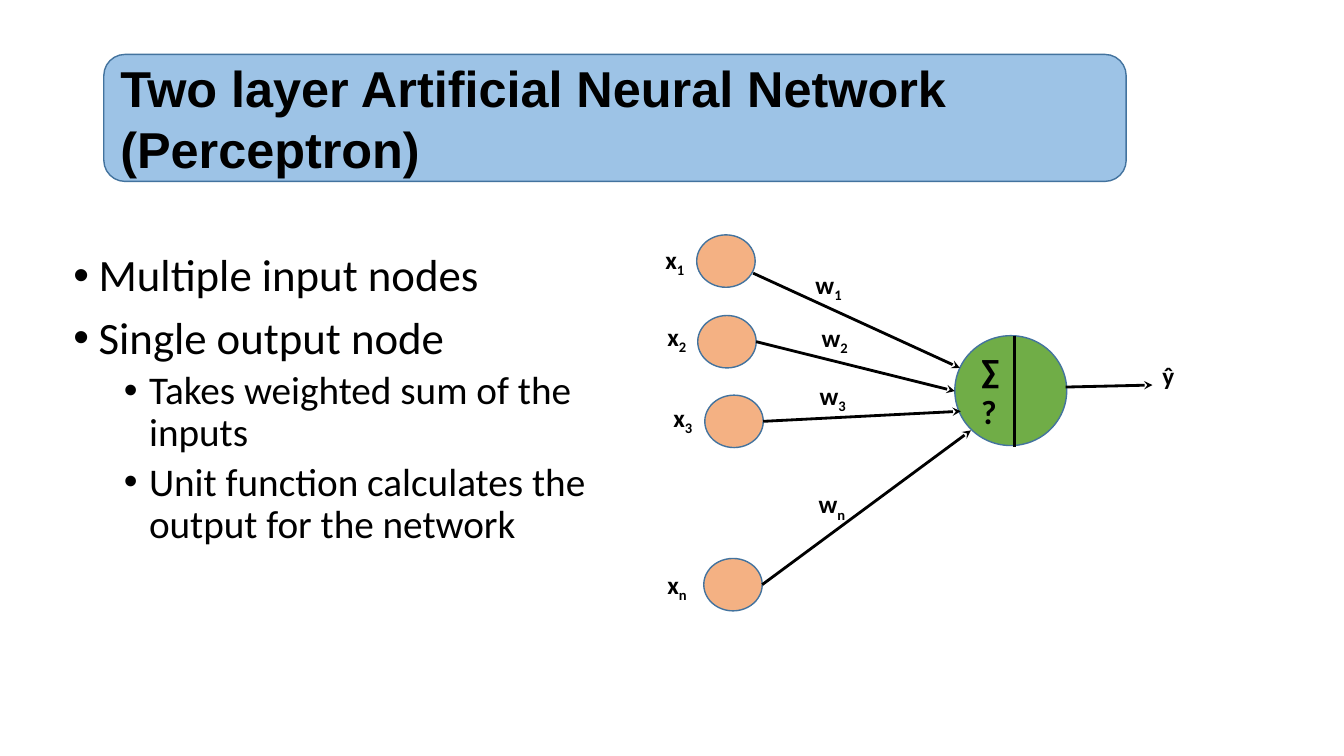
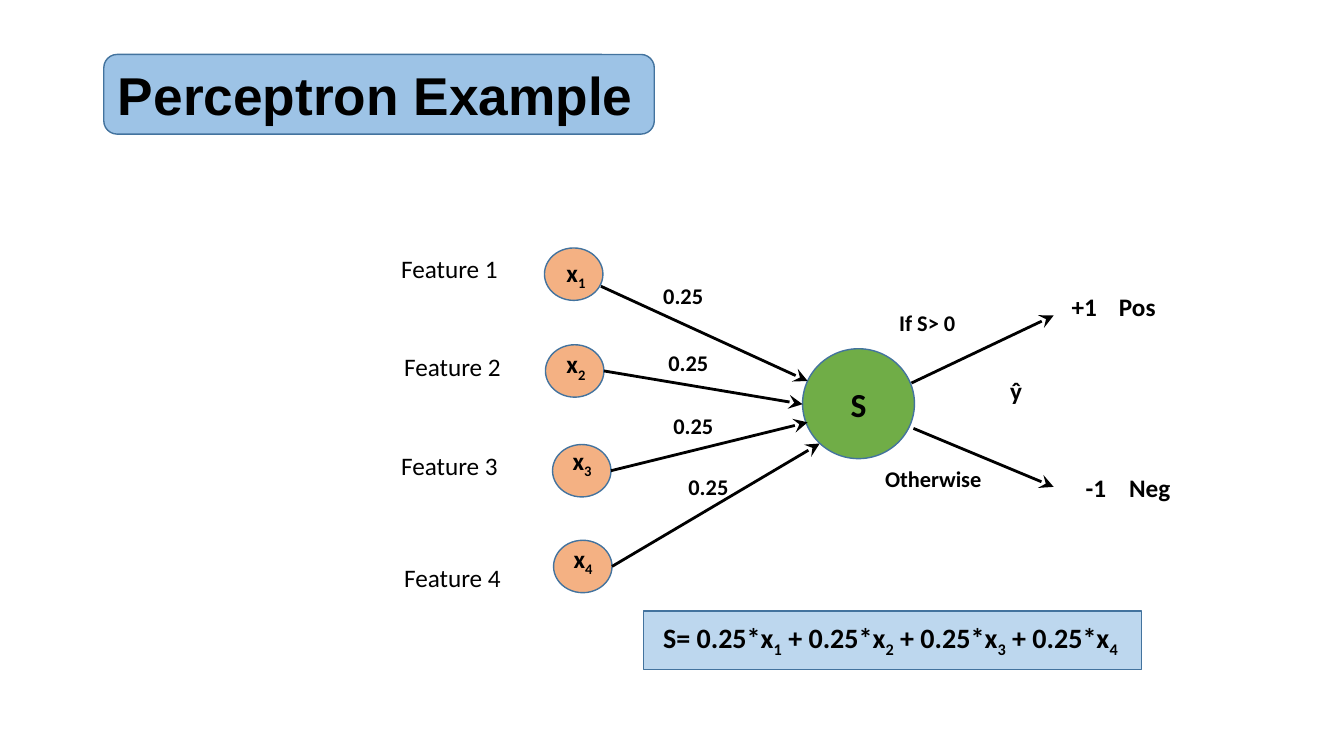
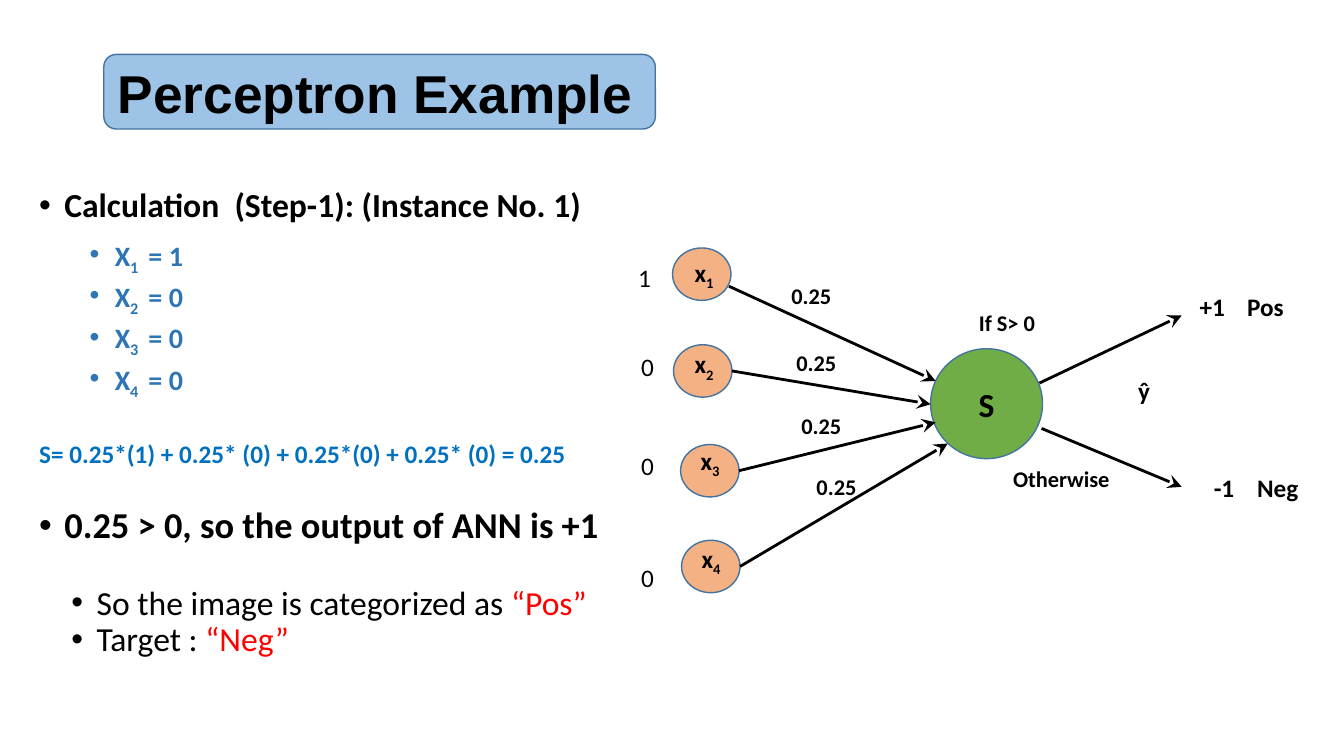
from dataclasses import dataclass

from lxml import etree
from pptx import Presentation
from pptx.dml.color import RGBColor
from pptx.enum.shapes import MSO_CONNECTOR, MSO_SHAPE
from pptx.enum.text import MSO_ANCHOR, MSO_AUTO_SIZE, PP_ALIGN
from pptx.oxml.ns import qn
from pptx.util import Inches, Pt

ELLIPSE, RECTANGLE, ROUNDED = MSO_SHAPE.OVAL, MSO_SHAPE.RECTANGLE, MSO_SHAPE.ROUNDED_RECTANGLE
STRAIGHT = MSO_CONNECTOR.STRAIGHT
MIDDLE, TOP = MSO_ANCHOR.MIDDLE, MSO_ANCHOR.TOP
LEFT, CENTER = PP_ALIGN.LEFT, PP_ALIGN.CENTER
NO_FIT = MSO_AUTO_SIZE.NONE

# Shared look
BLACK, RED = "000000", "FF0000"
BAND, FORMULA, OUTLINE = "9DC3E6", "BDD7EE", "43739E"
INPUT_FILL, OUTPUT_FILL = "F4B183", "70AD47"
VALUE_BLUE, SUM_BLUE = "2E75B6", "0070C0"
BODY_FONT, TITLE_FONT = "Calibri", "Arial"
BAND_LEFT, BAND_TOP = 1.03, 0.54
INPUT_SIZE = (0.58, 0.52)
OUTPUT_SIZE = (1.11, 1.09)
EXAMPLE_SHIFT = 1.27


@dataclass
class Span:
    text: str
    color: str = ""
    lowered: bool = False


@dataclass
class Para:
    spans: list[Span]
    size: float = 18
    bold: bool = True
    color: str = BLACK
    font: str = BODY_FONT
    align: PP_ALIGN = LEFT
    level: int = 0
    before: float = 0
    spacing: float = 1.0
    bullet: bool = False
    indent: float = 0
    tab: float = 0


@dataclass
class Label:
    left: float
    top: float
    width: float
    para: Para


@dataclass
class Arrow:
    x1: float
    y1: float
    x2: float
    y2: float


def rgb(color: str) -> RGBColor:
    return RGBColor.from_string(color)


def plain(text: str, **formats) -> Para:
    return Para([Span(text)], **formats)


def indexed(name: str, index: str) -> list[Span]:
    return [Span(name), Span(index, lowered=True)]


def add_bullet_and_tab(paragraph, para: Para) -> None:
    properties = paragraph._p.get_or_add_pPr()
    if para.bullet:
        properties.set("marL", str(Inches(para.indent)))
        properties.set("indent", str(Inches(-0.25)))
        etree.SubElement(properties, qn("a:buFont"), typeface="Arial")
        etree.SubElement(properties, qn("a:buChar"), char="•")
    if para.tab:
        stops = etree.SubElement(properties, qn("a:tabLst"))
        etree.SubElement(stops, qn("a:tab"), pos=str(Inches(para.tab)), algn="l")


def write(frame, paras: list[Para], anchor: MSO_ANCHOR = TOP) -> None:
    frame_formats = {"word_wrap": True, "auto_size": NO_FIT, "vertical_anchor": anchor}
    for name, value in frame_formats.items():
        setattr(frame, name, value)
    for number, para in enumerate(paras):
        paragraph = frame.add_paragraph() if number else frame.paragraphs[0]
        add_bullet_and_tab(paragraph, para)
        formats = {"alignment": para.align, "level": para.level,
                   "line_spacing": para.spacing, "space_before": Pt(para.before)}
        for name, value in formats.items():
            setattr(paragraph, name, value)
        for span in para.spans:
            run = paragraph.add_run()
            run.text = span.text
            for name, value in {"name": para.font, "size": Pt(para.size), "bold": para.bold}.items():
                setattr(run.font, name, value)
            run.font.color.rgb = rgb(span.color or para.color)
            if span.lowered:
                run._r.get_or_add_rPr().set("baseline", "-25000")


def add_box(page, left: float, top: float, width: float, height: float, paras: list[Para]) -> None:
    box = page.shapes.add_textbox(Inches(left), Inches(top), Inches(width), Inches(height))
    write(box.text_frame, paras)


def add_label(page, label: Label, shift: float = 0) -> None:
    add_box(page, label.left + shift, label.top, label.width, 0.4, [label.para])


def add_figure(page, kind, left: float, top: float, size: tuple[float, float], fill: str,
               para: Para | None = None):
    figure = page.shapes.add_shape(kind, Inches(left), Inches(top), *map(Inches, size))
    figure.shadow.inherit = False
    figure.fill.solid()
    figure.fill.fore_color.rgb = rgb(fill)
    figure.line.color.rgb = rgb(OUTLINE)
    figure.line.width = Pt(1)
    if para:
        write(figure.text_frame, [para], MIDDLE)
    return figure


def add_line(page, arrow: Arrow, shift: float = 0, width: float = 2, head: str = "") -> None:
    line = page.shapes.add_connector(
        STRAIGHT, Inches(arrow.x1 + shift), Inches(arrow.y1),
        Inches(arrow.x2 + shift), Inches(arrow.y2))
    line.line.color.rgb = rgb(BLACK)
    line.line.width = Pt(width)
    if head:
        etree.SubElement(line.line._get_or_add_ln(), qn("a:tailEnd"),
                         type="stealth", w=head, len=head)
    etree.SubElement(line._element.spPr, qn("a:effectLst"))


def start_page(deck, title: str, size: float, width: float, height: float):
    """Add a page whose title lies on a rounded band."""
    page = deck.slides.add_slide(deck.slide_layouts[5])
    band = add_figure(page, ROUNDED, BAND_LEFT, BAND_TOP, (width, height), BAND)
    page.shapes._spTree.insert(2, band._element)
    inset = 0.05 * height  # room taken by the rounded corners
    places = {"left": BAND_LEFT + inset, "top": BAND_TOP,
              "width": width - 2 * inset, "height": height}
    for name, value in places.items():
        setattr(page.shapes.title, name, Inches(value))
    write(page.shapes.title.text_frame, [plain(title, size=size, font=TITLE_FONT)], MIDDLE)
    return page


def build_two_layer(deck) -> None:
    page = start_page(deck, "Two layer Artificial Neural Network (Perceptron)", 36, 10.14, 1.26)
    main = {"size": 32, "bold": False, "spacing": 0.9, "bullet": True, "indent": 0.25}
    detail = main | {"size": 28, "indent": 0.75, "level": 1, "before": 5}
    add_box(page, 0.63, 2.46, 5.72, 4.39, [
        plain("Multiple input nodes", **main),
        plain("Single output node", before=10, **main),
        plain("Takes weighted sum of the inputs", **detail),
        plain("Unit function calculates the output for the network", **detail),
    ])

    # Input nodes, output node and arrows
    for left, top in [(6.91, 2.33), (6.92, 3.13), (6.99, 3.92), (6.98, 5.54)]:
        add_figure(page, ELLIPSE, left, top, INPUT_SIZE, INPUT_FILL)
    add_figure(page, ELLIPSE, 9.47, 3.33, OUTPUT_SIZE, OUTPUT_FILL,
               plain("∑\t?", size=24, tab=0.44))
    add_line(page, Arrow(10.06, 3.33, 10.06, 4.43), width=2.25)
    for arrow in [Arrow(7.47, 2.71, 9.52, 3.65), Arrow(7.5, 3.39, 9.47, 3.88),
                  Arrow(7.57, 4.18, 9.53, 4.08), Arrow(7.56, 5.8, 9.63, 4.27),
                  Arrow(10.57, 3.84, 11.43, 3.82)]:
        add_line(page, arrow, head="med")

    # Names of inputs, weights and output
    names = {
        "x": [(6.5, 2.37), (6.52, 3.14), (6.58, 3.94), (6.52, 5.6)],
        "w": [(7.99, 2.62), (8.05, 3.15), (8.03, 3.72), (8.02, 4.8)],
    }
    for name, places in names.items():
        for index, (left, top) in zip("123n", places):
            add_label(page, Label(left, top, 0.54, Para(indexed(name, index))))
    add_label(page, Label(11.43, 3.53, 0.52, plain("ŷ")))


def draw_example(page, shift: float, condition_left: float, inputs: list[Label]) -> None:
    """Draw the four-input perceptron, moved right by shift."""
    nodes = [(5.4, 2.46), (5.41, 3.42), (5.48, 4.41), (5.49, 5.36)]
    names = [(5.52, 2.5), (5.52, 3.41), (5.58, 4.37), (5.59, 5.34)]
    weights = [(6.48, 2.75), (6.53, 3.41), (6.58, 4.04), (6.73, 4.64)]
    for left, top in nodes:
        add_figure(page, ELLIPSE, left + shift, top, INPUT_SIZE, INPUT_FILL)
    for index, (left, top) in zip("1234", names):
        add_label(page, Label(left, top, 0.52, Para(indexed("x", index))), shift)
    add_figure(page, ELLIPSE, 7.96 + shift, 3.46, OUTPUT_SIZE, OUTPUT_FILL,
               plain("S", size=24, align=CENTER))
    for arrow in [Arrow(5.96, 2.84, 8.01, 3.78), Arrow(5.99, 3.68, 7.96, 4.01),
                  Arrow(6.06, 4.67, 8.01, 4.19), Arrow(6.07, 5.62, 8.13, 4.4),
                  Arrow(9.06, 4.25, 10.45, 4.83), Arrow(9.04, 3.8, 10.45, 3.13)]:
        add_line(page, arrow, shift, head="lg")
    for left, top in weights:
        add_label(page, Label(left, top, 0.7, plain("0.25", size=16)), shift)

    # Outcomes
    for label in [Label(9.92, 3.67, 0.52, plain("ŷ")),
                  Label(10.53, 2.84, 1.2, plain("+1\tPos", tab=0.47)),
                  Label(10.67, 4.64, 1.2, plain("-1\tNeg", tab=0.43)),
                  Label(8.68, 4.57, 1.21, plain("Otherwise", size=16))]:
        add_label(page, label, shift)
    add_label(page, Label(condition_left, 3.02, 1.04, plain("If S> 0", size=16)))
    for label in inputs:
        add_label(page, label)


def build_example(deck) -> None:
    page = start_page(deck, "Perceptron Example", 38, 5.46, 0.79)
    places = [(3.88, 2.46), (3.91, 3.44), (3.88, 4.42), (3.91, 5.53)]
    features = [Label(left, top, 1.4, plain(f"Feature {number}", bold=False))
                for number, (left, top) in enumerate(places, 1)]
    draw_example(page, 0, 8.82, features)
    spans = indexed("S= 0.25*x", "1")
    for index in ("2", "3", "4 "):
        spans += indexed(" + 0.25*x", index)
    add_figure(page, RECTANGLE, 6.38, 6.06, (4.94, 0.58), FORMULA,
               Para(spans, size=20, align=CENTER))


def build_calculation(deck) -> None:
    page = start_page(deck, "Perceptron Example", 38, 5.47, 0.74)
    values = "1000"
    point = {"spacing": 0.9, "bullet": True, "indent": 0.25}
    value = point | {"size": 20, "color": VALUE_BLUE, "indent": 0.75, "level": 1}
    result = point | {"size": 24, "bold": False, "indent": 0.57, "level": 2}
    add_box(page, 0.29, 1.82, 6.22, 5, [
        plain("Calculation  (Step-1): (Instance No. 1)", size=24, **point),
        *[Para(indexed("X", f"{number} ") + [Span(f" = {digit}")],
               before=10 if number == 1 else 5, **value)
          for number, digit in enumerate(values, 1)],
        plain("S= 0.25*(1) + 0.25* (0) + 0.25*(0) + 0.25* (0) = 0.25",
              color=SUM_BLUE, before=32, spacing=0.9),
        plain("0.25 > 0, so the output of ANN is +1", size=26, before=27, **point),
        Para([Span("So the image is categorized as "), Span("“Pos”", RED)],
             before=28.5, **result),
        Para([Span("Target : "), Span("“Neg”", RED)], **result),
    ])
    places = [(6.23, 2.55), (6.26, 3.44), (6.26, 4.42), (6.26, 5.53)]
    inputs = [Label(left, top, 0.4, plain(digit, bold=False))
              for digit, (left, top) in zip(values, places)]
    draw_example(page, EXAMPLE_SHIFT, 9.61, inputs)


def main() -> None:
    deck = Presentation()
    deck.slide_width, deck.slide_height = Inches(13.33), Inches(7.5)
    for build in (build_two_layer, build_example, build_calculation):
        build(deck)
    deck.save("out.pptx")


if __name__ == "__main__":
    main()
